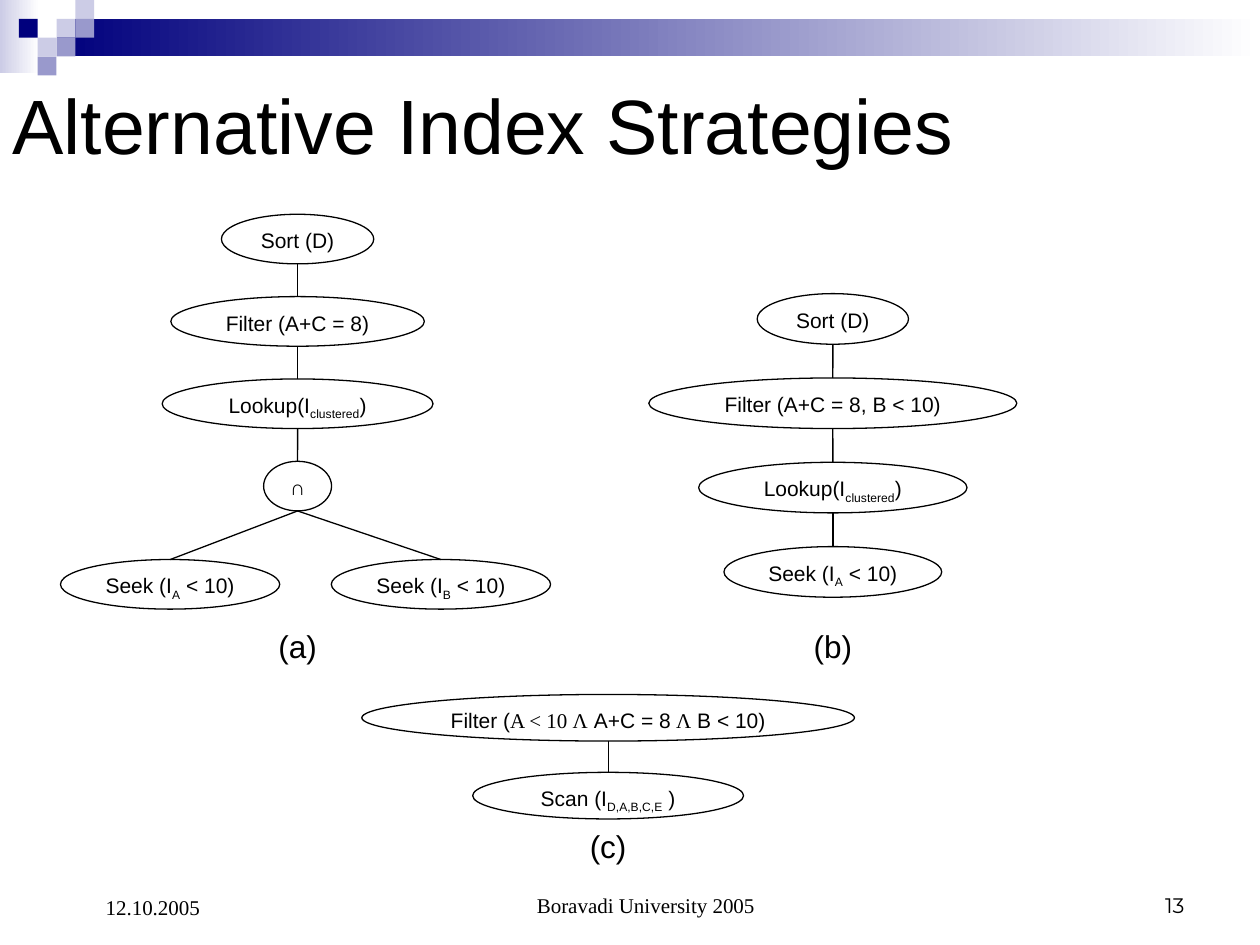
from lxml import etree
from pptx import Presentation
from pptx.dml.color import RGBColor
from pptx.enum.shapes import MSO_CONNECTOR, MSO_SHAPE
from pptx.enum.text import MSO_ANCHOR, PP_ALIGN
from pptx.oxml.ns import qn
from pptx.util import Cm, Pt

RECTANGLE, ELLIPSE = MSO_SHAPE.RECTANGLE, MSO_SHAPE.OVAL
STRAIGHT = MSO_CONNECTOR.STRAIGHT
TOP, MIDDLE, BOTTOM = MSO_ANCHOR.TOP, MSO_ANCHOR.MIDDLE, MSO_ANCHOR.BOTTOM
LEFT, CENTER, RIGHT = PP_ALIGN.LEFT, PP_ALIGN.CENTER, PP_ALIGN.RIGHT
SANS, SERIF, NUMBER_FONT = "Arial", "Times New Roman", "Montserrat"
BLACK, WHITE, NAVY, LILAC, PALE = "000000", "FFFFFF", "00007D", "9999CC", "CCCCE6"
TILE = 0.38
TILES = [(3, 1, PALE), (4, 0, PALE), (4, 1, LILAC), (2, 2, PALE),
         (1, 1, NAVY), (3, 2, LILAC), (2, 3, LILAC)]
SORT = [("Sort (D)", "")]
LOOKUP = [("Lookup(I", ""), ("clustered", "sub"), (")", "")]
SEEK_A = [("Seek (I", ""), ("A", "sub"), (" < 10)", "")]
SEEK_B = [("Seek (I", ""), ("B", "sub"), (" < 10)", "")]
SCAN = [("Scan (I", ""), ("D,A,B,C,E", "sub"), (" )", "")]
FILTER_ALL = [("Filter (", ""), ("A < 10 Λ", "serif"), (" A+C = 8", ""),
              (" Λ", "serif"), (" B < 10)", "")]
PLAN_A = [(SORT, 3.07), ([("Filter (A+C = 8)", "")], 5.11), (LOOKUP, 5.46), ([("∩", "")], 1.37)]
PLAN_B = [(SORT, 3.05), ([("Filter (A+C = 8, B < 10)", "")], 7.42), (LOOKUP, 5.41), (SEEK_A, 4.39)]
PLAN_C = [(FILTER_ALL, 9.93), (SCAN, 5.46)]


def color(value):
    """Turn a hex string into a colour."""
    return RGBColor.from_string(value)


def style_run(span, size, font):
    """Set the size, font and black colour of a run."""
    span.font.size = Pt(size)
    span.font.name = font
    span.font.color.rgb = color(BLACK)


def add_block(page, left, top, width, height, fill, fade=False):
    """Add a borderless rectangle, plain or fading to white on the right."""
    block = page.shapes.add_shape(RECTANGLE, Cm(left), Cm(top), Cm(width), Cm(height))
    block.shadow.inherit = False
    block.line.fill.background()
    if fade:
        block.fill.gradient()
        block.fill.gradient_angle = 180
        for stop, value in zip(block.fill.gradient_stops, (WHITE, fill)):
            stop.color.rgb = color(value)
    else:
        block.fill.solid()
        block.fill.fore_color.rgb = color(fill)


def add_banner(page):
    """Add the gradient bar and the tiles at the top of the page."""
    add_block(page, 0, 0, 0.79, 1.47, PALE, fade=True)
    add_block(page, 3 * TILE, TILE, 25.4 - 3 * TILE, 2 * TILE, NAVY, fade=True)
    for column, row, fill in TILES:
        add_block(page, column * TILE, row * TILE, TILE, TILE, fill)


def add_text(page, text, place, size, font=SANS, align=LEFT, anchor=TOP, inset=0.25):
    """Add a one-line text box."""
    box = page.shapes.add_textbox(*[Cm(length) for length in place])
    frame = box.text_frame
    frame.word_wrap = True
    frame.vertical_anchor = anchor
    frame.margin_left = Cm(inset)
    frame.text = text
    para = frame.paragraphs[0]
    para.alignment = align
    style_run(para.runs[0], size, font)


def add_operator(page, label, center, top, width, height):
    """Add an ellipse whose label may hold subscripts and serif parts."""
    node = page.shapes.add_shape(
        ELLIPSE, Cm(center - width / 2), Cm(top), Cm(width), Cm(height))
    node.shadow.inherit = False
    node.fill.solid()
    node.fill.fore_color.rgb = color(WHITE)
    node.line.color.rgb = color(BLACK)
    node.line.width = Pt(0.75)
    frame = node.text_frame
    frame.word_wrap = False
    frame.vertical_anchor = TOP
    para = frame.paragraphs[0]
    para.alignment = CENTER
    for text, kind in label:
        span = para.add_run()
        span.text = text
        style_run(span, 12, SERIF if kind == "serif" else SANS)
        if kind == "sub":
            span.font._element.set("baseline", "-25000")
    return node


def add_link(page, parent, child):
    """Draw a line from the bottom of one operator to the top of another."""
    link = page.shapes.add_connector(
        STRAIGHT, parent.left + parent.width // 2, parent.top + parent.height,
        child.left + child.width // 2, child.top)
    link.end_connect(child, 0)
    link.line.color.rgb = color(BLACK)
    link.line.width = Pt(0.75)
    etree.SubElement(link._element.spPr, qn("a:effectLst"))


def add_plan(page, operators, center, top, step, height):
    """Stack linked operators at equal steps and return the last one."""
    parent = None
    for index, (label, width) in enumerate(operators):
        node = add_operator(page, label, center, top + index * step, width, height)
        if parent is not None:
            add_link(page, parent, node)
        parent = node
    return parent


def main():
    """Build the slide and save it."""
    deck = Presentation()
    deck.slide_width, deck.slide_height = Cm(25.4), Cm(19.05)
    page = deck.slides.add_slide(deck.slide_layouts[6])
    add_banner(page)
    add_text(page, "Alternative Index Strategies", (0, 1.27, 22.86, 2.46), 44, anchor=MIDDLE)

    intersection = add_plan(page, PLAN_A, 6, 4.32, 1.66, 1)
    for label, center in ((SEEK_A, 3.43), (SEEK_B, 8.89)):
        add_link(page, intersection, add_operator(page, label, center, 11.28, 4.42, 1))
    add_plan(page, PLAN_B, 16.79, 5.92, 1.7, 1.02)
    add_plan(page, PLAN_C, 12.26, 14, 1.57, 0.94)

    for text, center, top in (("(a)", 6, 12.52), ("(b)", 16.79, 12.52), ("(c)", 12.26, 16.54)):
        add_text(page, text, (center - 1.3, top, 2.6, 1.02), 18, align=CENTER)

    add_text(page, "Boravadi University 2005", (8.69, 17.35, 8.05, 1.27), 12, SERIF,
             CENTER, BOTTOM, 0.86)
    add_text(page, "13", (18.21, 17.35, 5.92, 1.27), 12, NUMBER_FONT, RIGHT, BOTTOM)
    add_text(page, "12.10.2005", (1.27, 17.35, 5.92, 1.32), 12, SERIF, LEFT, BOTTOM, 0.86)
    deck.save("out.pptx")


if __name__ == "__main__":
    main()
